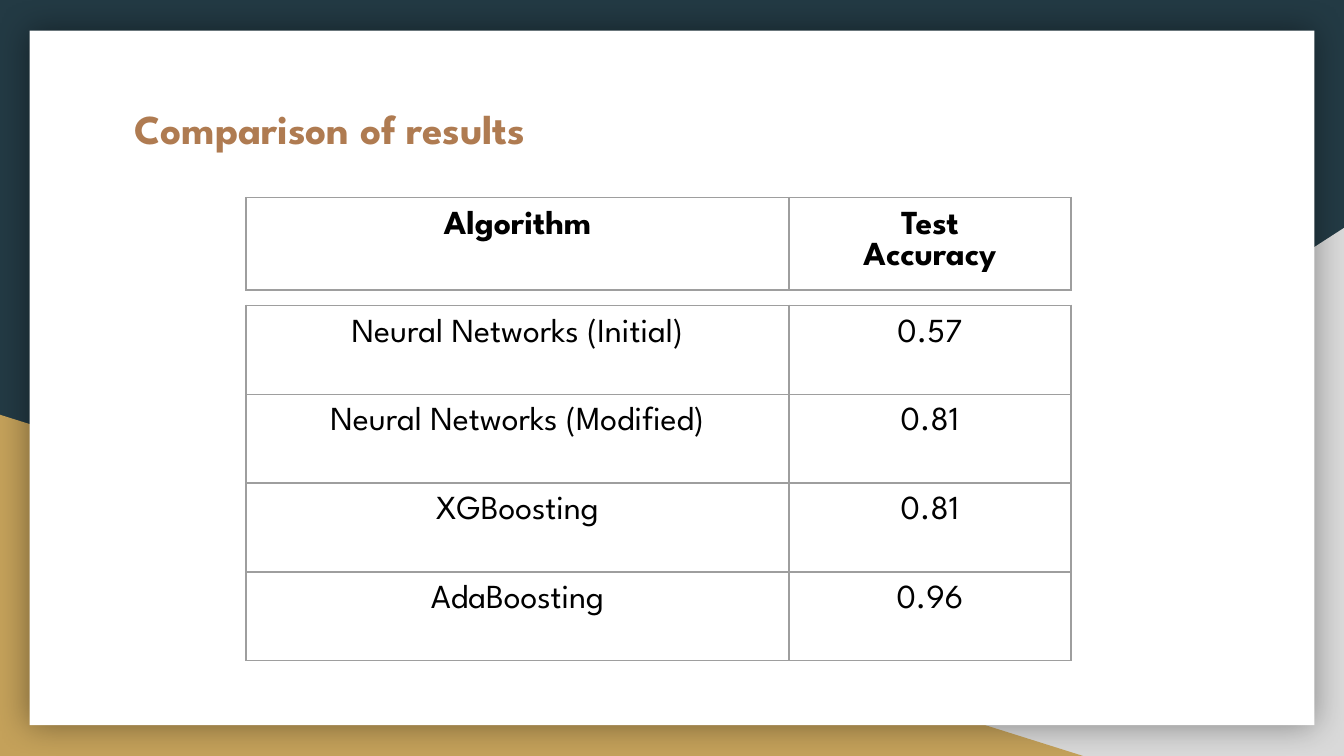
from lxml import etree
from pptx import Presentation
from pptx.dml.color import RGBColor
from pptx.enum.shapes import MSO_SHAPE
from pptx.enum.text import MSO_ANCHOR, PP_ALIGN
from pptx.oxml import parse_xml
from pptx.oxml.ns import nsdecls, qn
from pptx.util import Cm, Pt

RECT = MSO_SHAPE.RECTANGLE
WEDGE = MSO_SHAPE.RIGHT_TRIANGLE
TOP = MSO_ANCHOR.TOP
LEFT = PP_ALIGN.LEFT
CENTER = PP_ALIGN.CENTER

FONT = "League Spartan"
COLORS = {
    "navy": "233A44",
    "gray": "D9D9D9",
    "gold": "C4A15A",
    "white": "FFFFFF",
    "brown": "AF7B51",
    "black": "000000",
    "rule": "9E9E9E",
}
WIDTH, HEIGHT = 25.4, 14.29
PAD = Cm(0.25)
COLS = (10.26, 5.33)
HEAD = [("Algorithm", "Test\nAccuracy")]
ROWS = [
    ("Neural Networks (Initial)", "0.57"),
    ("Neural Networks (Modified)", "0.81"),
    ("XGBoosting", "0.81"),
    ("AdaBoosting", "0.96"),
]


def color(name):
    return RGBColor.from_string(COLORS[name])


def write(frame, text, size=18, tint="black", bold=False, align=CENTER):
    frame.text = text
    for para in frame.paragraphs:
        para.alignment = align
        for run in para.runs:
            font = run.font
            font.name, font.size, font.bold = FONT, Pt(size), bold
            font.color.rgb = color(tint)


def pad(box):
    box.margin_left = box.margin_right = PAD
    box.margin_top = box.margin_bottom = PAD
    box.vertical_anchor = TOP


def add_shape(slide, kind, tint, left, top, width, height):
    shape = slide.shapes.add_shape(kind, Cm(left), Cm(top), Cm(width), Cm(height))
    shape.shadow.inherit = False
    shape.fill.solid()
    shape.fill.fore_color.rgb = color(tint)
    shape.line.fill.background()
    return shape


def add_glow(shape):
    effects = shape._element.spPr.find(qn("a:effectLst"))
    effects.append(parse_xml(
        f'<a:outerShdw {nsdecls("a")} blurRad="{Pt(18)}" dist="0" dir="0" '
        f'algn="ctr" rotWithShape="0"><a:srgbClr val="{COLORS["black"]}">'
        '<a:alpha val="40000"/></a:srgbClr></a:outerShdw>'))


def add_rules(cell):
    props = cell._tc.get_or_add_tcPr()
    for side in ("lnL", "lnR", "lnT", "lnB"):
        line = etree.SubElement(props, qn(f"a:{side}"), w=str(Pt(0.75)))
        fill = etree.SubElement(line, qn("a:solidFill"))
        etree.SubElement(fill, qn("a:srgbClr"), val=COLORS["rule"])


def add_grid(slide, rows, top, height, bold=False):
    frame = slide.shapes.add_table(
        len(rows), len(COLS), Cm(4.65), Cm(top),
        Cm(sum(COLS)), Cm(height * len(rows)))
    table = frame.table
    table.first_row = table.horz_banding = False
    for col, width in zip(table.columns, COLS):
        col.width = Cm(width)
    for row, texts in zip(table.rows, rows):
        for cell, text in zip(row.cells, texts):
            write(cell.text_frame, text, bold=bold)
            pad(cell)
            add_rules(cell)
            cell.fill.background()


def add_title(slide, text):
    title = slide.shapes.title
    title.left, title.top = Cm(2.29), Cm(1.7)
    title.width, title.height = Cm(20.85), Cm(2.03)
    pad(title.text_frame)
    write(title.text_frame, text, size=22, tint="brown", bold=True, align=LEFT)
    slide.shapes._spTree.append(title._element)


def add_back(slide):
    slide.background.fill.solid()
    slide.background.fill.fore_color.rgb = color("navy")
    right = add_shape(slide, WEDGE, "gray", WIDTH - 15.44, HEIGHT - 9.98, 15.44, 9.98)
    right._element.spPr.xfrm.set("flipH", "1")
    add_shape(slide, WEDGE, "gold", 0, HEIGHT - 6.45, 20.47, 6.45)
    card = add_shape(slide, RECT, "white", 0.56, 0.58, WIDTH - 1.12, HEIGHT - 1.16)
    add_glow(card)


def main():
    deck = Presentation()
    deck.slide_width, deck.slide_height = Cm(WIDTH), Cm(HEIGHT)
    slide = deck.slides.add_slide(deck.slide_layouts[5])
    add_back(slide)
    add_title(slide, "Comparison of results")
    add_grid(slide, ROWS, 5.77, 1.68)
    add_grid(slide, HEAD, 3.73, 1.75, bold=True)
    deck.save("out.pptx")


if __name__ == "__main__":
    main()
